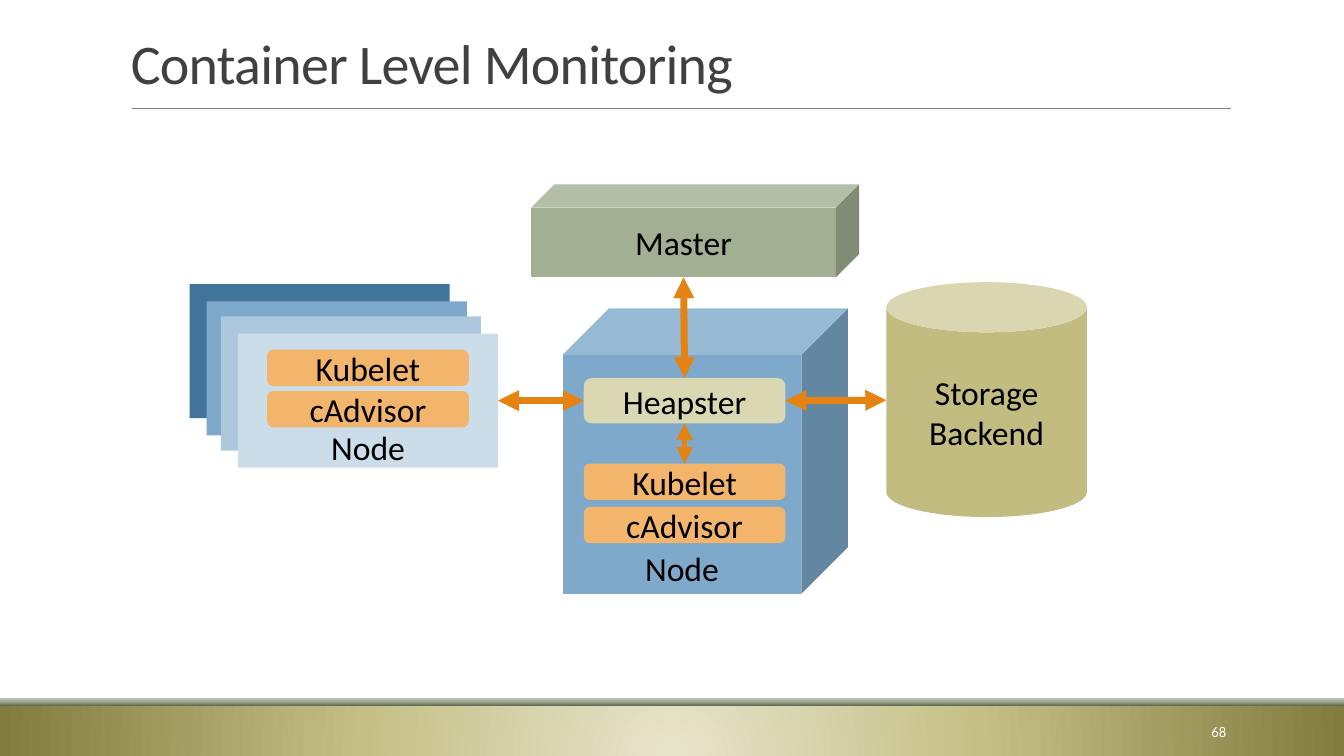
from lxml import etree
from pptx import Presentation
from pptx.dml.color import RGBColor
from pptx.enum.shapes import MSO_CONNECTOR as CONNECTOR, MSO_SHAPE as SHAPE
from pptx.enum.text import MSO_ANCHOR as ANCHOR, PP_ALIGN as ALIGN
from pptx.oxml import parse_xml
from pptx.oxml.ns import nsdecls, qn
from pptx.util import Pt

PX = 9144  # 100 px to the inch
FONT = "Calibri"
COLORS = {
    "title": "404040", "rule": "808080", "white": "FFFFFF", "black": "000000",
    "storage": "C2BC80", "master": "A2AF92", "node": "7EA9CA",
    "heapster": "DAD7B3", "agent": "F3B56C", "arrow": "E48312",
    "back": "40749B", "middle": "ADC8DD", "front": "CCDDEA",
}
FOOTER_STOPS = [(0, "E7E4CC"), (46, "C5BF86"), (100, "837C3F")]
STRIP_STOPS = [(0, "636E58"), (48, "97A38C"), (100, "BFC6B8")]
RADIAL = ('<a:path path="circle"><a:fillToRect l="50000" t="130000" '
          'r="50000" b="-30000"/></a:path>')
UPWARD = '<a:lin ang="16200000" scaled="0"/>'


def rgb(name):
    return RGBColor.from_string(COLORS[name])


def emu(*lengths):
    return [length * PX for length in lengths]


def write(frame, lines, size, color, align, anchor):
    frame.word_wrap = True
    frame.vertical_anchor = anchor
    for i, line in enumerate(lines):
        paragraph = frame.paragraphs[0] if i == 0 else frame.add_paragraph()
        paragraph.alignment = align
        run = paragraph.add_run()
        run.text = line
        run.font.name, run.font.size = FONT, Pt(size)
        run.font.color.rgb = rgb(color)


def add_block(slide, kind, box, color, *lines, anchor=ANCHOR.MIDDLE):
    block = slide.shapes.add_shape(kind, *emu(*box))
    block.shadow.inherit = False
    block.fill.solid()
    block.fill.fore_color.rgb = rgb(color)
    block.line.fill.background()
    write(block.text_frame, lines, 24, "black", ALIGN.CENTER, anchor)
    return block


def add_band(slide, box, stops, direction):
    band = slide.shapes.add_shape(SHAPE.RECTANGLE, *emu(*box))
    band.shadow.inherit = False
    band.line.fill.background()
    band.fill.gradient()
    stop_xml = "".join(
        f'<a:gs pos="{pos * 1000}"><a:srgbClr val="{color}"/></a:gs>'
        for pos, color in stops)
    gradient = parse_xml(f'<a:gradFill {nsdecls("a")} rotWithShape="1">'
                         f'<a:gsLst>{stop_xml}</a:gsLst>{direction}</a:gradFill>')
    properties = band._element.spPr
    properties.replace(properties.find(qn("a:gradFill")), gradient)


def add_label(slide, box, text, size, color, align, anchor):
    label = slide.shapes.add_textbox(*emu(*box))
    write(label.text_frame, [text], size, color, align, anchor)
    return label.text_frame.paragraphs[0]


def add_line(slide, ends, color, width):
    line = slide.shapes.add_connector(CONNECTOR.STRAIGHT, *emu(*ends))
    line.line.color.rgb = rgb(color)
    line.line.width = Pt(width)
    etree.SubElement(line._element.spPr, qn("a:effectLst"))
    return line


def add_arrow(slide, ends, width=5, begin=None, end=None):
    arrow = add_line(slide, ends, "arrow", width)
    for tag in ("a:headEnd", "a:tailEnd"):
        etree.SubElement(arrow.line._get_or_add_ln(), qn(tag), type="triangle")
    if begin:
        arrow.begin_connect(*begin)
    if end:
        arrow.end_connect(*end)


def add_agents(slide, left, tops):
    return [add_block(slide, SHAPE.ROUNDED_RECTANGLE, (left, top, 200, 36), "agent", name)
            for name, top in zip(("Kubelet", "cAdvisor"), tops)]


def main():
    deck = Presentation()
    deck.slide_width, deck.slide_height = emu(1333, 750)
    slide = deck.slides.add_slide(deck.slide_layouts[6])

    # Footer, title and page number
    add_band(slide, (0, 700, 1333, 50), FOOTER_STOPS, RADIAL)
    add_band(slide, (0, 693, 1333, 7), STRIP_STOPS, UPWARD)
    add_line(slide, (131, 108, 1221, 108), "rule", 0.5)
    title = add_label(slide, (120, 31, 1100, 69), "Container Level Monitoring",
                      40, "title", ALIGN.LEFT, ANCHOR.BOTTOM)
    title.line_spacing = 0.85
    title.runs[0].font._element.set("spc", "-50")
    add_label(slide, (1083, 706, 143, 40), "68", 10.5, "white",
              ALIGN.RIGHT, ANCHOR.MIDDLE)

    # Storage, master and the node that runs Heapster
    add_block(slide, SHAPE.CAN, (879, 280, 199, 233), "storage", "Storage", "Backend")
    add_block(slide, SHAPE.CUBE, (527, 183, 325, 92), "master", "Master")
    host = add_block(slide, SHAPE.CUBE, (558, 306, 283, 283), "node", "Node",
                     anchor=ANCHOR.BOTTOM)
    host.adjustments[0] = 0.163
    heapster = add_block(slide, SHAPE.ROUNDED_RECTANGLE, (579, 375, 200, 45),
                         "heapster", "Heapster")
    kubelet, _ = add_agents(slide, 579, (460, 503))

    # Stack of worker nodes
    for left, top, color in ((188, 282, "back"), (205, 299, "node"), (219, 314, "middle")):
        add_block(slide, SHAPE.RECTANGLE, (left, top, 258, 133), color)
    worker = add_block(slide, SHAPE.RECTANGLE, (236, 331, 258, 133), "front", "Node",
                       anchor=ANCHOR.BOTTOM)
    worker.text_frame.margin_bottom = 0
    add_agents(slide, 265, (347, 388))

    # Data flows around Heapster
    add_arrow(slide, (679, 420, 679, 460), 4, begin=(heapster, 2), end=(kubelet, 0))
    add_arrow(slide, (678, 275, 679, 375), end=(heapster, 0))
    add_arrow(slide, (879, 397, 779, 397), end=(heapster, 3))
    add_arrow(slide, (494, 397, 579, 397), begin=(worker, 3), end=(heapster, 1))

    deck.save("out.pptx")


if __name__ == "__main__":
    main()
